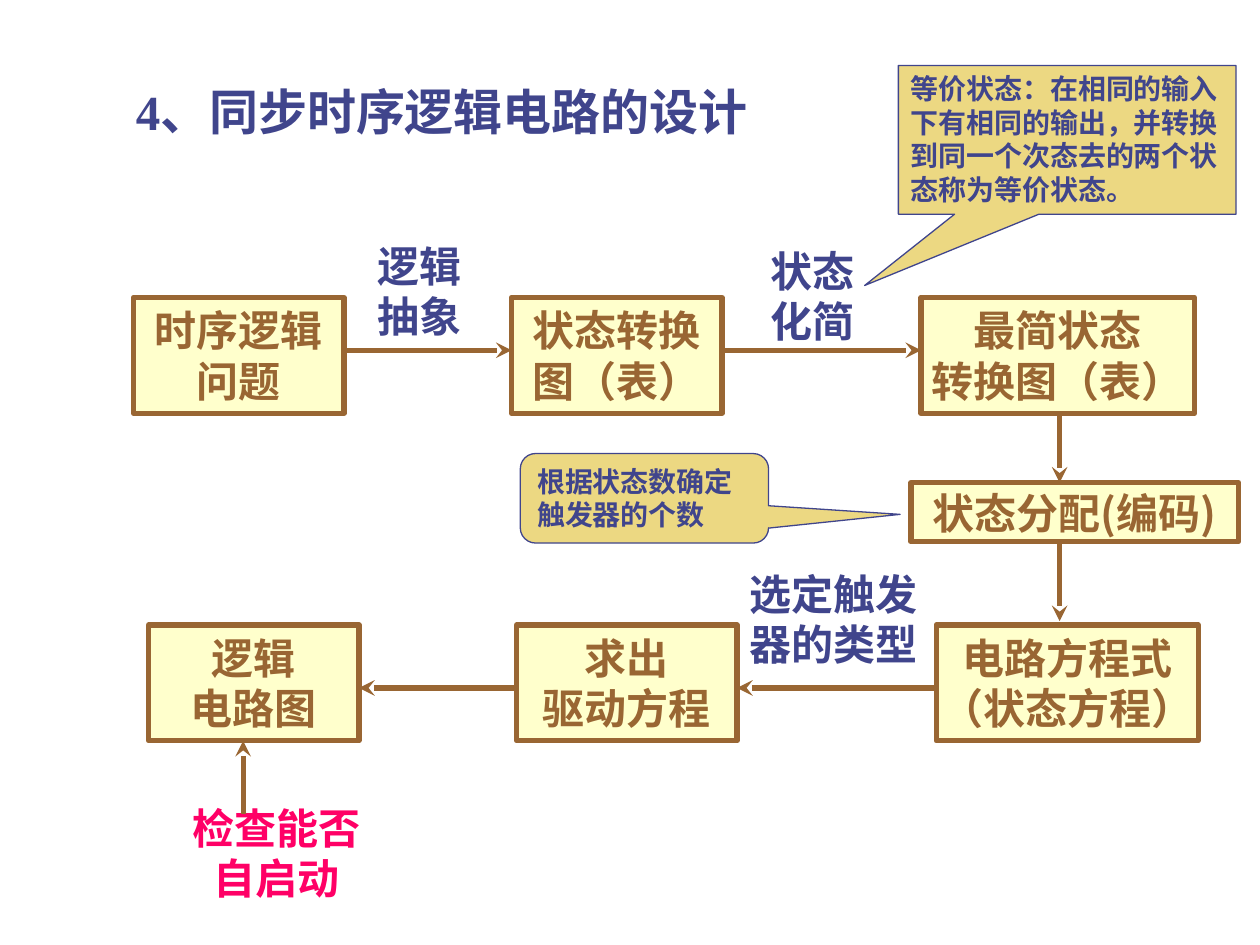
"""Flow chart of synchronous sequential circuit design."""
import pptx
import pptx.dml.color
import pptx.enum.shapes
import pptx.enum.text
import pptx.oxml
import pptx.oxml.ns
import pptx.util

SHAPE = pptx.enum.shapes.MSO_SHAPE
ALIGN = pptx.enum.text.PP_ALIGN
ANCHOR = pptx.enum.text.MSO_ANCHOR
SANS, SERIF = "Noto Sans CJK SC", "Times New Roman"
WIDTH, HEIGHT = pptx.util.Inches(10), pptx.util.Inches(7.5)

COLORS = {
    "ink": "40458C", "brown": "996633", "cream": "FFFFCC",
    "sand": "ECD882", "pink": "FF0066",
}

ROWS = {"upper": (31.47, 12.27), "middle": (51.07, 6.27), "lower": (66.13, 12.27)}
LANES = {"upper": 37.07, "lower": 72.8, "right": 84.1, "check": 19.3}

TITLE = ("4、同步时序逻辑电路的设计", (9.8, 8, 68.5, 8.4))
STEPS = {
    "problem": ("时序逻辑\n问题", "upper", 10.6, 16.7),
    "table": ("状态转换\n图（表）", "upper", 40.6, 16.7),
    "minimal": ("最简状态\n转换图（表）", "upper", 73.1, 21.7),
    "coding": ("状态分配(编码)", "middle", 72.3, 26),
    "equations": ("电路方程式\n（状态方程）", "lower", 74.3, 20.8),
    "drive": ("求出\n驱动方程", "lower", 41, 17.5),
    "diagram": ("逻辑\n电路图", "lower", 11.8, 16.7),
}
LABELS = [
    ("逻辑\n抽象", (29, 24.8, 10.8, 12), "ink", ALIGN.LEFT),
    ("状态\n化简", (60.2, 25.33, 10.2, 12), "ink", ALIGN.LEFT),
    ("选定触发\n器的类型", (58.5, 59.47, 15.3, 12), "ink", ALIGN.LEFT),
    ("检查能否\n自启动", (13.3, 84.27, 17.3, 12), "pink", ALIGN.CENTER),
]
ACROSS = [("problem", "table"), ("table", "minimal"),
          ("equations", "drive"), ("drive", "diagram")]
UPRIGHT = [("right", 43.73, 51.07), ("right", 57.4, 65.73), ("check", 86.13, 78.4)]
CALLOUTS = [
    ("等价状态：在相同的输入下有相同的输出，并转换到同一个次态去的两个状态称为等价状态。",
     SHAPE.RECTANGULAR_CALLOUT, (71.3, 6.93, 26.8, 15.73), (-0.6, 0.98)),
    ("根据状态数确定触发器的个数",
     SHAPE.ROUNDED_RECTANGULAR_CALLOUT, (41.3, 48, 19.7, 9.47), (1.03, 0.18, 0.17)),
]


def rgb(name):
    return pptx.dml.color.RGBColor.from_string(COLORS[name])


def across(share):
    return int(WIDTH * share / 100)


def down(share):
    return int(HEIGHT * share / 100)


def place(area):
    left, top, width, height = area
    return across(left), down(top), across(width), down(height)


def write(shape, text, *, size=24, font=SANS, color="ink", align=ALIGN.LEFT,
          anchor=ANCHOR.TOP, wrap=True):
    frame = shape.text_frame
    frame.text = text
    frame.word_wrap = wrap
    frame.vertical_anchor = anchor
    for paragraph in frame.paragraphs:
        paragraph.alignment = align
        for run in paragraph.runs:
            run.font.size = pptx.util.Pt(size)
            run.font.name = font
            run.font.bold = True
            run.font.color.rgb = rgb(color)
            east = pptx.oxml.parse_xml(
                f'<a:ea {pptx.oxml.ns.nsdecls("a")} typeface="{SANS}"/>')
            run.font._element.find(pptx.oxml.ns.qn("a:latin")).addnext(east)


def add_panel(shapes, kind, area, fill, line, weight):
    panel = shapes.add_shape(kind, *place(area))
    panel.shadow.inherit = False
    panel.fill.solid()
    panel.fill.fore_color.rgb = rgb(fill)
    panel.line.color.rgb = rgb(line)
    panel.line.width = pptx.util.Pt(weight)
    return panel


def add_arrow(shapes, x1, y1, x2, y2):
    arrow = shapes.add_connector(
        pptx.enum.shapes.MSO_CONNECTOR.STRAIGHT,
        across(x1), down(y1), across(x2), down(y2))
    arrow.line.color.rgb = rgb("brown")
    arrow.line.width = pptx.util.Pt(3)
    namespace = pptx.oxml.ns.nsdecls("a")
    arrow.line._get_or_add_ln().append(
        pptx.oxml.parse_xml(f'<a:tailEnd {namespace} type="stealth"/>'))
    arrow._element.spPr.append(pptx.oxml.parse_xml(f"<a:effectLst {namespace}/>"))


def main():
    deck = pptx.Presentation()
    deck.slide_width, deck.slide_height = WIDTH, HEIGHT
    shapes = deck.slides.add_slide(deck.slide_layouts[6]).shapes

    title, area = TITLE
    write(shapes.add_textbox(*place(area)), title, size=28, font=SERIF)

    for text, area, color, align in LABELS:
        write(shapes.add_textbox(*place(area)), text, color=color, align=align,
              wrap=False if text.startswith("选定") else True)

    for start, end in ACROSS:
        _, row, left, width = STEPS[start]
        _, _, next_left, next_width = STEPS[end]
        forward = next_left > left
        add_arrow(shapes, left + width if forward else left, LANES[row],
                  next_left if forward else next_left + next_width, LANES[row])
    for lane, start, end in UPRIGHT:
        add_arrow(shapes, LANES[lane], start, LANES[lane], end)

    for text, row, left, width in STEPS.values():
        top, height = ROWS[row]
        step = add_panel(shapes, SHAPE.RECTANGLE, (left, top, width, height),
                         "cream", "brown", 3)
        write(step, text, color="brown", align=ALIGN.CENTER,
              anchor=ANCHOR.MIDDLE, wrap=False)

    for text, kind, area, pointer in CALLOUTS:
        callout = add_panel(shapes, kind, area, "sand", "ink", 0.75)
        for index, value in enumerate(pointer):
            callout.adjustments[index] = value
        write(callout, text, size=16, font=SERIF)

    deck.save("out.pptx")


if __name__ == "__main__":
    main()
